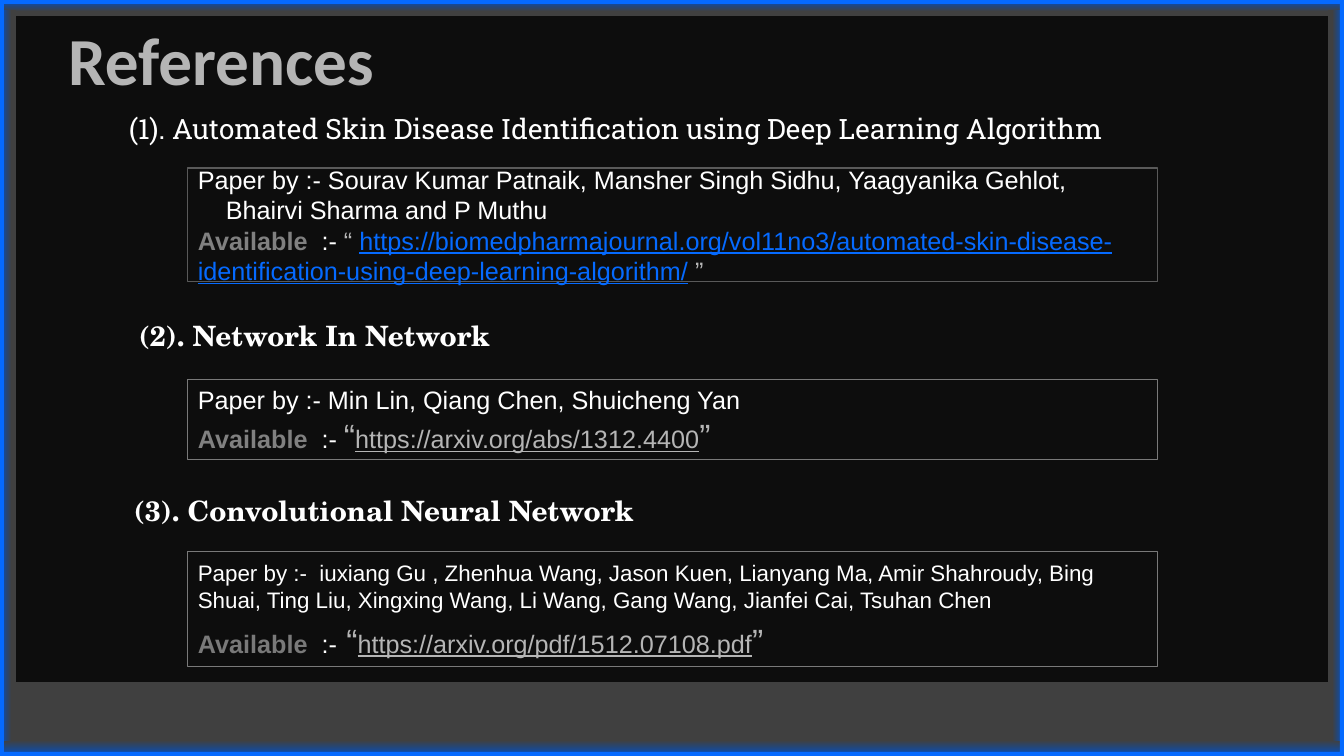
from dataclasses import dataclass

from pptx import Presentation
from pptx.dml.color import RGBColor
from pptx.enum.shapes import MSO_SHAPE
from pptx.enum.text import MSO_ANCHOR, MSO_AUTO_SIZE, PP_ALIGN
from pptx.util import Emu, Pt


@dataclass(frozen=True)
class Theme:
    background: str = "0D0D0D"
    glow: str = "004FC3"
    bar: str = "404040"
    accent: str = "056AFF"
    white: str = "FFFFFF"
    silver: str = "B5B5B5"
    label: str = "808080"
    dark_label: str = "797979"
    border: str = "797979"
    dark_border: str = "595959"
    title_size: int = 48
    heading_size: int = 20
    body_size: int = 18
    small_size: int = 16
    quote_size: int = 24


THEME = Theme()
WIDTH, HEIGHT = 1344, 756
CARD_LEFT, CARD_WIDTH = 188, 970


def px(length):
    return Emu(round(length * 914400 / 100.8))


def rgb(value):
    return RGBColor.from_string(value)


def box(left, top, width, height):
    return px(left), px(top), px(width), px(height)


def style(name="Arial", size=THEME.body_size, color=THEME.white, **flags):
    return {"name": name, "size": Pt(size), "color": color, **flags}


def write_runs(paragraph, runs):
    """Add (text, style) pairs; a newline in the text becomes a line break."""
    for text, formats in runs:
        for index, line in enumerate(text.split("\n")):
            if index:
                paragraph.add_line_break()
            run = paragraph.add_run()
            run.text = line
            for attribute, value in formats.items():
                if attribute == "color":
                    run.font.color.rgb = rgb(value)
                else:
                    setattr(run.font, attribute, value)


def set_frame(frame, **formats):
    frame.word_wrap = True
    for attribute, value in formats.items():
        setattr(frame, attribute, value)


def add_bar(slide, area, angle, end):
    bar = slide.shapes.add_shape(MSO_SHAPE.RECTANGLE, *box(*area))
    bar.shadow.inherit = False
    bar.line.fill.background()
    bar.fill.gradient()
    bar.fill.gradient_angle = angle
    stops = ((0, THEME.glow), (end, THEME.bar))
    for stop, (position, color) in zip(bar.fill.gradient_stops, stops):
        stop.position = position
        stop.color.rgb = rgb(color)


def add_border(slide):
    border = slide.shapes.add_shape(MSO_SHAPE.FRAME, *box(0, 0, WIDTH, HEIGHT))
    border.adjustments[0] = 4 / HEIGHT
    border.shadow.inherit = False
    border.fill.solid()
    border.fill.fore_color.rgb = rgb(THEME.accent)
    border.line.fill.background()


def add_heading(slide, area, text, formats, line_spacing=1.0, **frame_formats):
    frame = slide.shapes.add_textbox(*box(*area)).text_frame
    set_frame(frame, **frame_formats)
    paragraph = frame.paragraphs[0]
    paragraph.line_spacing = line_spacing
    write_runs(paragraph, [(text, formats)])


def add_title(slide, text):
    title = slide.shapes.title
    title.left, title.top, title.width, title.height = box(58, 22, 778, 68)
    set_frame(title.text_frame, vertical_anchor=MSO_ANCHOR.TOP,
              auto_size=MSO_AUTO_SIZE.NONE)
    paragraph = title.text_frame.paragraphs[0]
    paragraph.alignment = PP_ALIGN.LEFT
    paragraph.line_spacing = 0.9
    write_runs(paragraph, [(text, style("Calibri", THEME.title_size,
                                        THEME.silver, bold=True))])


def add_card(slide, top, height, authors, available, border=THEME.border,
             author_size=THEME.body_size, gap=0, hanging=0):
    card = slide.shapes.add_shape(
        MSO_SHAPE.RECTANGLE, *box(CARD_LEFT, top, CARD_WIDTH, height))
    card.shadow.inherit = False
    card.fill.background()
    card.line.color.rgb = rgb(border)
    card.line.width = Pt(0.75)
    frame = card.text_frame
    set_frame(frame, vertical_anchor=MSO_ANCHOR.MIDDLE)
    author_line, link_line = frame.paragraphs[0], frame.add_paragraph()
    if hanging:
        properties = author_line._p.get_or_add_pPr()
        properties.set("marL", str(px(hanging)))
        properties.set("indent", str(-px(hanging)))
    link_line.space_before = Pt(gap)
    for paragraph in (author_line, link_line):
        paragraph.alignment = PP_ALIGN.LEFT
    write_runs(author_line, [(authors, style(size=author_size))])
    write_runs(link_line, available)


def available_at(url, marker=":- ", opening="“", closing="”", label=THEME.label,
                 link=THEME.silver, quote_size=THEME.quote_size):
    quote = style(size=quote_size, color=THEME.silver)
    return [("Available  ", style(color=label, bold=True)),
            (marker, style()),
            (opening, quote),
            (url, style(color=link, underline=True)),
            (closing, quote)]


def main():
    presentation = Presentation()
    presentation.slide_width, presentation.slide_height = px(WIDTH), px(HEIGHT)
    slide = presentation.slides.add_slide(presentation.slide_layouts[5])
    slide.background.fill.solid()
    slide.background.fill.fore_color.rgb = rgb(THEME.background)

    for area, angle, end in (
        ((0, 682, WIDTH, 74), 90, 0.21),
        ((0, 0, WIDTH, 16), 270, 0.72),
        ((0, 10, 16, 731), 0, 0.72),
        ((WIDTH - 16, 10, 16, 731), 180, 0.72),
    ):
        add_bar(slide, area, angle, end)
    add_border(slide)

    add_title(slide, "References")
    add_heading(
        slide, (129, 101, 983, 58),
        "(1). Automated Skin Disease Identification using Deep Learning Algorithm",
        style("Roboto Slab", THEME.heading_size),
        line_spacing=0.9, vertical_anchor=MSO_ANCHOR.MIDDLE,
        margin_left=0, margin_top=0, margin_right=0, margin_bottom=0)
    for area, heading in (
        ((129, 314, 848, 44), "(2). Network In Network"),
        ((124, 489, 721, 44), "(3). Convolutional Neural Network"),
    ):
        add_heading(slide, area, heading,
                    style("TeX Gyre Schola", THEME.heading_size, bold=True))

    add_card(
        slide, 168, 114,
        "Paper by :- Sourav Kumar Patnaik, Mansher Singh Sidhu, Yaagyanika Gehlot,\n"
        "Bhairvi Sharma and P Muthu",
        available_at("https://biomedpharmajournal.org/vol11no3/automated-skin-disease-"
                     "identification-using-deep-learning-algorithm/",
                     opening="“ ", closing=" ”", link=THEME.accent,
                     quote_size=THEME.body_size),
        border=THEME.dark_border, hanging=28)
    add_card(slide, 380, 80, "Paper by :- Min Lin, Qiang Chen, Shuicheng Yan",
             available_at("https://arxiv.org/abs/1312.4400"))
    add_card(
        slide, 552, 115,
        "Paper by :-  iuxiang Gu , Zhenhua Wang, Jason Kuen, Lianyang Ma, "
        "Amir Shahroudy, Bing Shuai, Ting Liu, Xingxing Wang, Li Wang, "
        "Gang Wang, Jianfei Cai, Tsuhan Chen",
        available_at("https://arxiv.org/pdf/1512.07108.pdf", marker=":-",
                     opening=" “", label=THEME.dark_label),
        author_size=THEME.small_size, gap=5)
    presentation.save("out.pptx")


if __name__ == "__main__":
    main()
